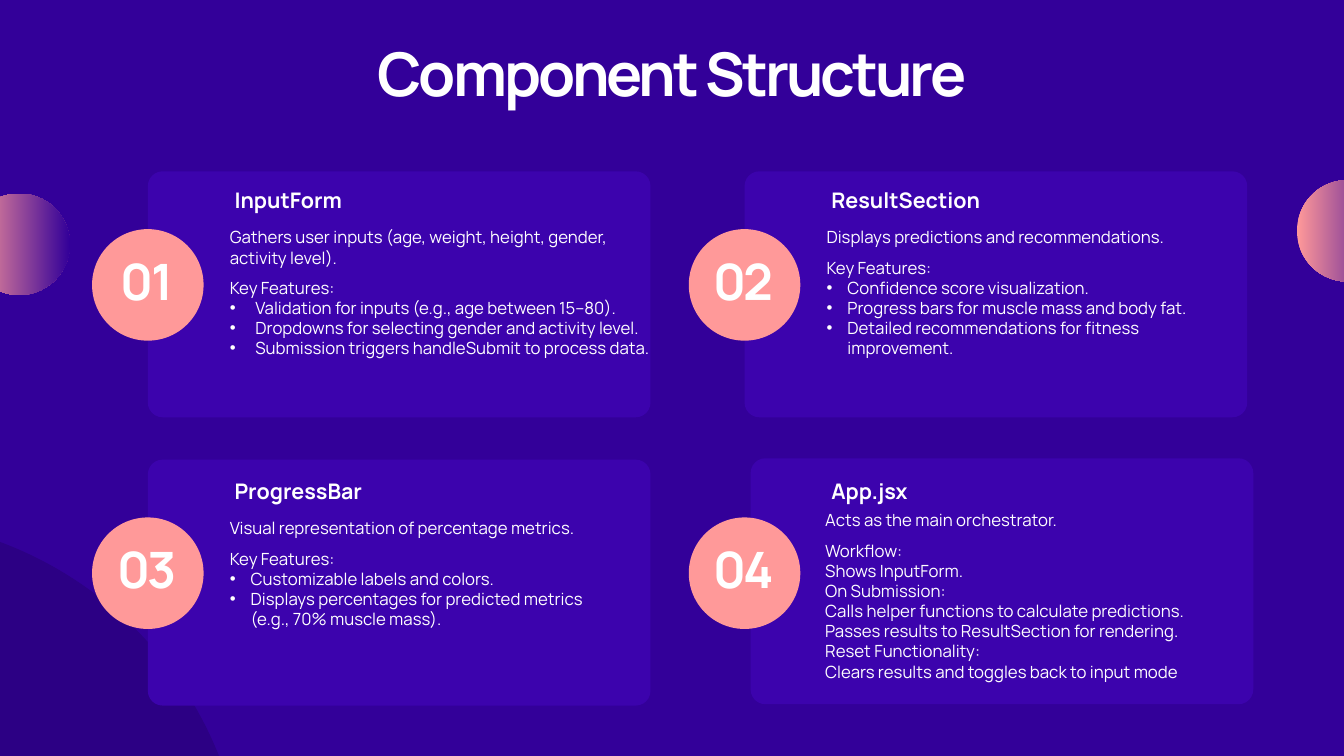
from dataclasses import dataclass

from lxml import etree
from pptx import Presentation
from pptx.dml.color import RGBColor
from pptx.enum import shapes, text
from pptx.oxml import ns
from pptx.util import Inches, Pt

BACKGROUND = RGBColor(0x33, 0x00, 0x99)
CARD = RGBColor(0x3C, 0x03, 0xAD)
SHADE = RGBColor(0x2C, 0x00, 0x84)
PINK = RGBColor(0xFF, 0x99, 0x99)
WHITE = RGBColor(0xFF, 0xFF, 0xFF)

TITLE = {"name": "Manrope", "size": Pt(64.5), "bold": True}
NUMBER = {"name": "Manrope", "size": Pt(53.7), "bold": True}
HEADING = {"name": "Manrope", "size": Pt(23), "bold": True}
BODY = {"name": "Manrope", "size": Pt(18), "bold": False}
FRAME = {"margin_left": 0, "margin_right": 0, "margin_top": 0, "margin_bottom": 0,
         "word_wrap": True, "auto_size": text.MSO_AUTO_SIZE.SHAPE_TO_FIT_TEXT}

COLUMNS = (1.37, 10.25)  # left edges of the number circles
ROWS = (3.41, 7.70)  # top edges of the number circles
CIRCLE = 1.66


@dataclass
class Component:
    name: str
    summary: str
    label: str
    details: list
    bullet_indent: float = 0.31  # zero means plain lines
    body_width: float = 5.88
    heading_top: float = -0.79  # tops are measured from the circle's top
    body_top: float = -0.03
    body_left: float = 2.05
    card_shift: tuple = (0, 0)


COMPONENTS = [
    Component("InputForm",
              "Gathers user inputs (age, weight, height, gender, activity level).",
              "Key Features:",
              ["Validation for inputs (e.g., age between 15–80).",
               "Dropdowns for selecting gender and activity level.",
               "Submission triggers handleSubmit to process data."],
              bullet_indent=0.38, body_width=6.31),
    Component("ResultSection",
              "Displays predictions and recommendations.",
              "Key Features:",
              ["Confidence score visualization.",
               "Progress bars for muscle mass and body fat.",
               "Detailed recommendations for fitness improvement."]),
    Component("ProgressBar",
              "Visual representation of percentage metrics.",
              "Key Features:",
              ["Customizable labels and colors.",
               "Displays percentages for predicted metrics (e.g., 70% muscle mass)."],
              heading_top=-0.74, body_top=0.01),
    Component("App.jsx",
              "Acts as the main orchestrator.",
              "Workflow:",
              ["Shows InputForm.",
               "On Submission:",
               "Calls helper functions to calculate predictions.",
               "Passes results to ResultSection for rendering.",
               "Reset Functionality:",
               "Clears results and toggles back to input mode"],
              bullet_indent=0, heading_top=-0.74, body_top=-0.11, body_left=2.03,
              card_shift=(0.09, -0.02)),
]


def set_attributes(target, values):
    for name, value in values.items():
        setattr(target, name, value)


def add_shape(slide, kind, left, top, width, height, color):
    shape = slide.shapes.add_shape(
        kind, Inches(left), Inches(top), Inches(width), Inches(height))
    shape.shadow.inherit = False
    shape.fill.solid()
    shape.fill.fore_color.rgb = color
    shape.line.fill.background()
    return shape


def add_circle(slide, left, top, size, color):
    return add_shape(slide, shapes.MSO_SHAPE.OVAL, left, top, size, size, color)


def add_gradient_circle(slide, left, top, size):
    fill = add_circle(slide, left, top, size, PINK).fill
    fill.gradient()
    fill.gradient_angle = 0
    for stop, color in zip(fill.gradient_stops, (PINK, BACKGROUND)):
        stop.color.rgb = color


def add_text_frame(slide, left, top, width, height):
    box = slide.shapes.add_textbox(
        Inches(left), Inches(top), Inches(width), Inches(height))
    set_attributes(box.text_frame, FRAME)
    return box.text_frame


def write(paragraph, words, font, spacing=0, **layout):
    """Fill a paragraph; spacing is the letter spacing in points."""
    set_attributes(paragraph, layout)
    run = paragraph.add_run()
    run.text = words
    set_attributes(run.font, font)
    run.font.color.rgb = WHITE
    if spacing:
        run._r.get_or_add_rPr().set("spc", str(round(spacing * 100)))


def add_bullet(paragraph, indent):
    properties = paragraph._p.get_or_add_pPr()
    properties.set("marL", str(Inches(indent)))
    properties.set("indent", str(-Inches(indent)))
    font = etree.SubElement(properties, ns.qn("a:buFont"))
    font.set("typeface", "Arial")
    bullet = etree.SubElement(properties, ns.qn("a:buChar"))
    bullet.set("char", "•")


def add_body(slide, component, left, top):
    frame = add_text_frame(slide, left, top, component.body_width, 2)
    write(frame.paragraphs[0], component.summary, BODY)
    write(frame.add_paragraph(), component.label, BODY, line_spacing=1.5)
    for detail in component.details:
        paragraph = frame.add_paragraph()
        write(paragraph, detail, BODY)
        if component.bullet_indent:
            add_bullet(paragraph, component.bullet_indent)


def add_component(slide, number, component):
    row, column = divmod(number - 1, len(COLUMNS))
    left, top = COLUMNS[column], ROWS[row]
    shift_x, shift_y = component.card_shift

    card = add_shape(slide, shapes.MSO_SHAPE.ROUNDED_RECTANGLE,
                     left + CIRCLE / 2 + shift_x, top - 0.86 + shift_y, 7.48, 3.66, CARD)
    card.adjustments[0] = 0.06
    add_circle(slide, left, top, CIRCLE, PINK)

    frame = add_text_frame(slide, left + 0.21, top + 0.4, 1.21, 0.88)
    write(frame.paragraphs[0], f"{number:02}", NUMBER, spacing=-2.6,
          alignment=text.PP_ALIGN.CENTER, line_spacing=Pt(58))
    add_body(slide, component, left + component.body_left, top + component.body_top)
    frame = add_text_frame(slide, left + 2.12, top + component.heading_top, 2.55, 0.5)
    write(frame.paragraphs[0], component.name, HEADING, line_spacing=Pt(39.1))


def main():
    presentation = Presentation()
    presentation.slide_width = Inches(20)
    presentation.slide_height = Inches(11.25)
    slide = presentation.slides.add_slide(presentation.slide_layouts[6])
    slide.background.fill.solid()
    slide.background.fill.fore_color.rgb = BACKGROUND

    add_circle(slide, -7.59, 7.71, 11.25, SHADE)
    add_gradient_circle(slide, -0.47, 2.88, 1.51)
    add_gradient_circle(slide, 19.3, 2.68, 1.51)

    frame = add_text_frame(slide, 4.74, 0.64, 10.52, 0.99)
    write(frame.paragraphs[0], "Component Structure", TITLE, spacing=-3.2,
          alignment=text.PP_ALIGN.CENTER, line_spacing=Pt(69.8))
    for number, component in enumerate(COMPONENTS, start=1):
        add_component(slide, number, component)

    presentation.save("out.pptx")


if __name__ == "__main__":
    main()
